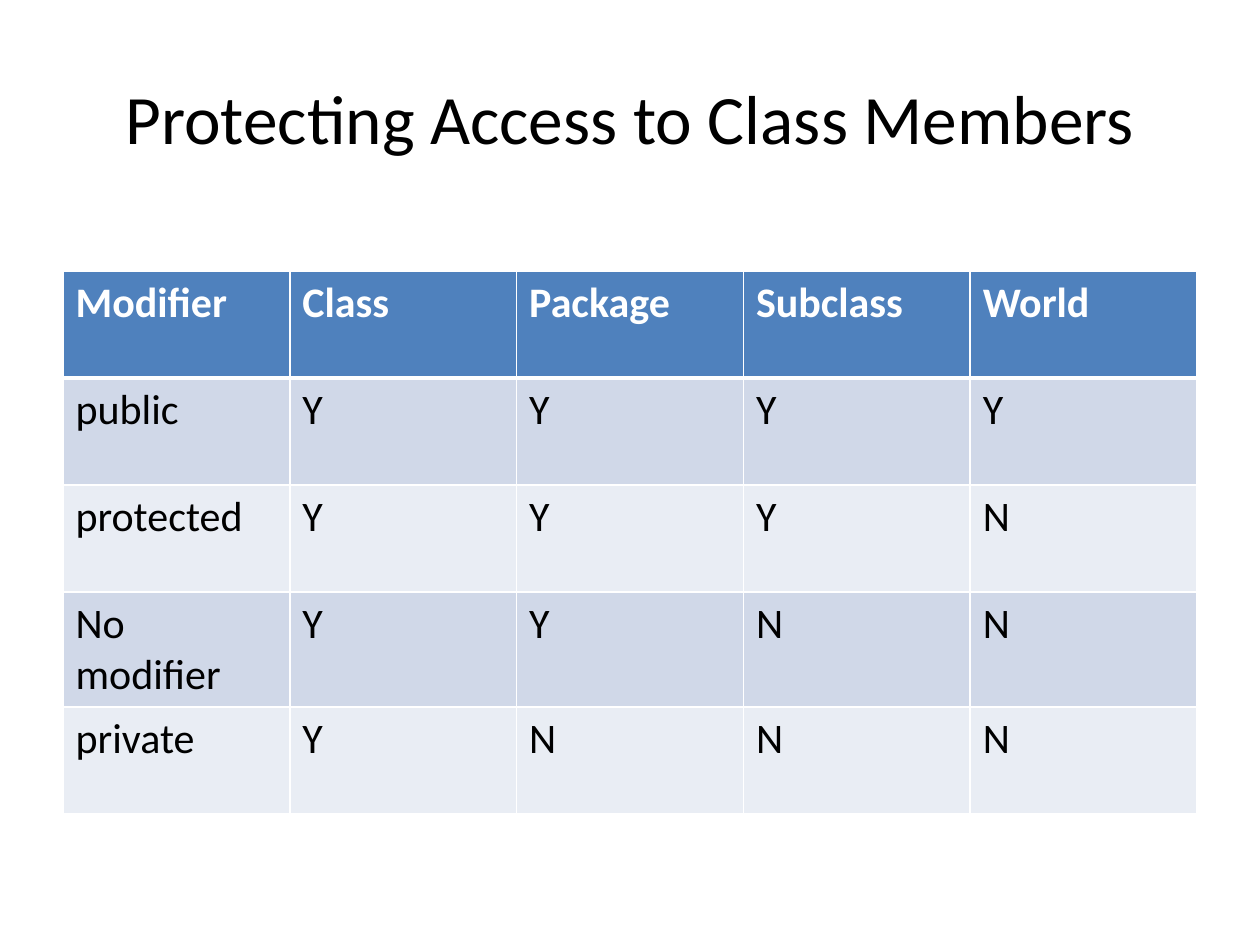
from dataclasses import dataclass

from lxml import etree
from pptx import Presentation
from pptx.dml.color import RGBColor
from pptx.enum.text import MSO_ANCHOR, MSO_AUTO_SIZE, PP_ALIGN
from pptx.oxml.ns import qn
from pptx.util import Emu, Pt

MIDDLE = MSO_ANCHOR.MIDDLE
NO_AUTOFIT = MSO_AUTO_SIZE.NONE
CENTER = PP_ALIGN.CENTER
LEFT = PP_ALIGN.LEFT

BLACK = RGBColor(0x00, 0x00, 0x00)
WHITE = RGBColor(0xFF, 0xFF, 0xFF)
HEADER_BLUE = RGBColor(0x4F, 0x81, 0xBD)
BAND_DARK = RGBColor(0xD0, 0xD8, 0xE8)
BAND_LIGHT = RGBColor(0xE9, 0xED, 0xF4)

EMU_PER_PIXEL = 914400 / 126
THIN, THICK = Pt(1), Pt(3)

TITLE_FONT = {"name": "Calibri", "size": Pt(39.6), "bold": False}
HEADER_FONT = {"name": "Calibri", "size": Pt(24), "bold": True}
BODY_FONT = {**HEADER_FONT, "bold": False}


@dataclass(frozen=True)
class AccessRow:
    modifier: str
    visibility: tuple[str, ...]
    fill: RGBColor
    color: RGBColor = BLACK
    top_line: int = THIN
    bottom_line: int = THIN

    @property
    def labels(self) -> tuple[str, ...]:
        return (self.modifier, *self.visibility)


ACCESS_ROWS = [
    AccessRow("Modifier", ("Class", "Package", "Subclass", "World"),
              HEADER_BLUE, WHITE, bottom_line=THICK),
    AccessRow("public", tuple("YYYY"), BAND_DARK, top_line=THICK),
    AccessRow("protected", tuple("YYYN"), BAND_LIGHT),
    AccessRow("No modifier", tuple("YYNN"), BAND_DARK),
    AccessRow("private", tuple("YNNN"), BAND_LIGHT),
]


def px(pixels: int) -> Emu:
    return Emu(round(pixels * EMU_PER_PIXEL))


def write(frame, text: str, font_format: dict, color: RGBColor, align) -> None:
    frame.text = text
    paragraph = frame.paragraphs[0]
    paragraph.alignment = align
    font = paragraph.runs[0].font
    for attribute, value in font_format.items():
        setattr(font, attribute, value)
    font.color.rgb = color


def add_borders(cell, widths: dict[str, int]) -> None:
    properties = cell._tc.get_or_add_tcPr()
    for side, width in widths.items():
        line = etree.SubElement(properties, qn(f"a:{side}"), w=str(int(width)))
        solid = etree.SubElement(line, qn("a:solidFill"))
        etree.SubElement(solid, qn("a:srgbClr"), val=str(WHITE))


def fill_row(table, index: int, row: AccessRow) -> None:
    font_format = HEADER_FONT if index == 0 else BODY_FONT
    for column, label in enumerate(row.labels):
        cell = table.cell(index, column)
        write(cell.text_frame, label, font_format, row.color, LEFT)
        add_borders(cell, {"lnL": THIN, "lnR": THIN,
                           "lnT": row.top_line, "lnB": row.bottom_line})
        cell.fill.solid()
        cell.fill.fore_color.rgb = row.fill


presentation = Presentation()
presentation.slide_width, presentation.slide_height = px(1260), px(945)
slide = presentation.slides.add_slide(presentation.slide_layouts[5])

heading = slide.shapes.title
heading_box = {"left": px(63), "top": px(38), "width": px(1134), "height": px(158)}
for attribute, value in heading_box.items():
    setattr(heading, attribute, value)
heading.text_frame.auto_size = NO_AUTOFIT
heading.text_frame.vertical_anchor = MIDDLE
write(heading.text_frame, "Protecting Access to Class Members", TITLE_FONT, BLACK, CENTER)

access_table = slide.shapes.add_table(
    len(ACCESS_ROWS), len(ACCESS_ROWS[0].labels),
    px(63), px(271), px(1134), px(107 * len(ACCESS_ROWS))).table
for index, row in enumerate(ACCESS_ROWS):
    fill_row(access_table, index, row)

presentation.save("out.pptx")
